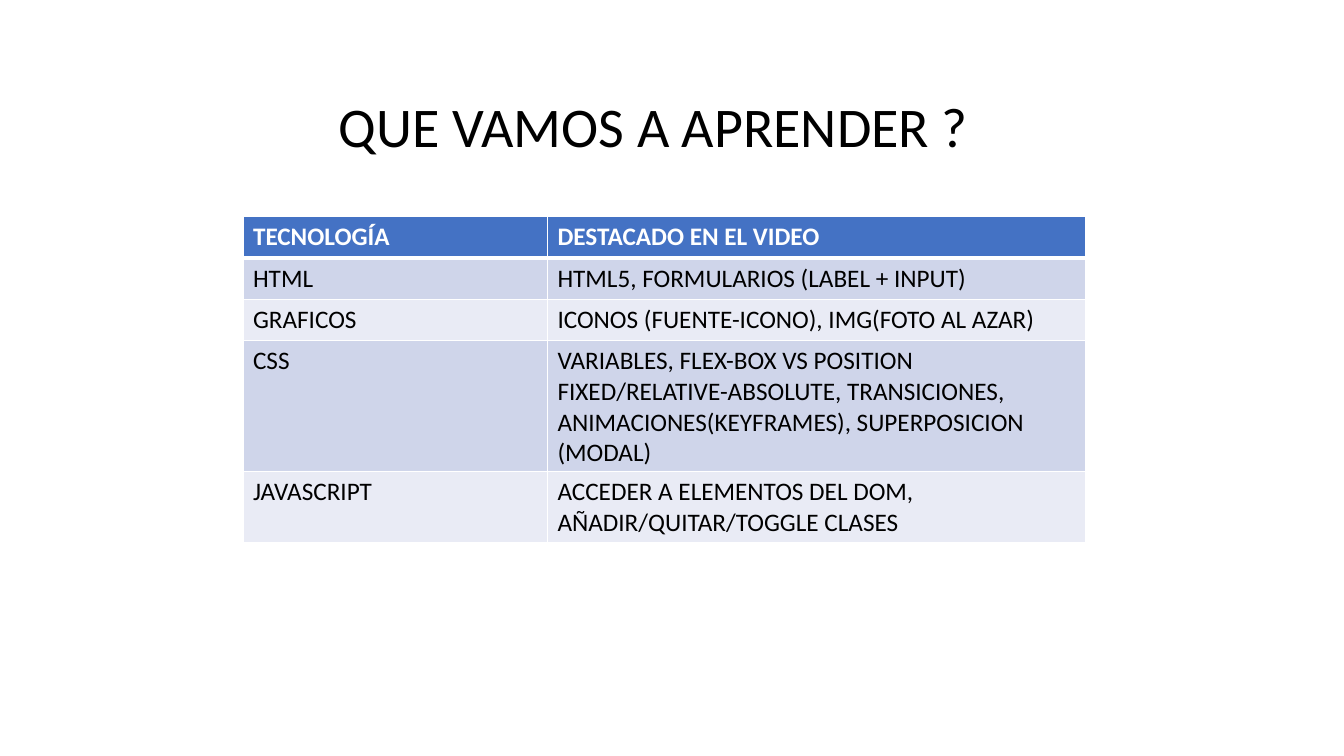
import lxml.etree
import pptx
import pptx.dml.color
import pptx.enum.text
import pptx.oxml.ns
import pptx.util

FONT = "Calibri"
COLORS = {
    "text": "000000",
    "header": "4472C4",
    "header_text": "FFFFFF",
    "border": "FFFFFF",
    "band_dark": "CFD5EA",
    "band_light": "E9EBF5",
}
WIDTH, HEIGHT = 13.33, 7.5
COLUMNS = [3.02, 5.34]
ROWS = [0.41, 0.41, 0.41, 1.3, 0.69]
TOPICS = [
    ("TECNOLOGÍA", "DESTACADO EN EL VIDEO"),
    ("HTML", "HTML5, FORMULARIOS (LABEL + INPUT)"),
    ("GRAFICOS", "ICONOS (FUENTE-ICONO), IMG(FOTO AL AZAR)"),
    ("CSS", "VARIABLES, FLEX-BOX VS POSITION FIXED/RELATIVE-ABSOLUTE, "
            "TRANSICIONES, ANIMACIONES(KEYFRAMES), SUPERPOSICION (MODAL)"),
    ("JAVASCRIPT", "ACCEDER A ELEMENTOS DEL DOM, AÑADIR/QUITAR/TOGGLE CLASES"),
]


def rgb(name):
    return pptx.dml.color.RGBColor.from_string(COLORS[name])


def add_run(tf, text, size, color, bold=False):
    r = tf.paragraphs[0].add_run()
    r.text = text
    r.font.name = FONT
    r.font.size = pptx.util.Pt(size)
    r.font.bold = bold
    r.font.color.rgb = rgb(color)


def add_title(s, text):
    inches = pptx.util.Inches
    box = s.shapes.add_textbox(inches(1.66), inches(0.86), inches(10.01), inches(0.77))
    tf = box.text_frame
    tf.word_wrap = True
    tf.auto_size = pptx.enum.text.MSO_AUTO_SIZE.SHAPE_TO_FIT_TEXT
    tf.margin_left = inches(1.7)
    add_run(tf, text, 40, "text")


def set_borders(cell, top, bottom):
    """Draw the four cell borders; top and bottom are widths in points."""
    qn = pptx.oxml.ns.qn
    tc_pr = cell._tc.get_or_add_tcPr()
    for side, width in (("L", 1), ("R", 1), ("T", top), ("B", bottom)):
        line = lxml.etree.SubElement(tc_pr, qn(f"a:ln{side}"), w=str(pptx.util.Pt(width)))
        fill = lxml.etree.SubElement(line, qn("a:solidFill"))
        lxml.etree.SubElement(fill, qn("a:srgbClr"), val=COLORS["border"])


def fill_cell(cell, text, row):
    is_header = row == 0
    set_borders(cell, top=3 if row == 1 else 1, bottom=3 if is_header else 1)
    band = "band_dark" if row % 2 else "band_light"
    cell.fill.solid()
    cell.fill.fore_color.rgb = rgb("header" if is_header else band)
    add_run(cell.text_frame, text, 18, "header_text" if is_header else "text", is_header)


def add_topics_table(s):
    inches = pptx.util.Inches
    table = s.shapes.add_table(len(ROWS), len(COLUMNS), inches(2.41), inches(2.15),
                               inches(sum(COLUMNS)), inches(sum(ROWS))).table
    for column, width in zip(table.columns, COLUMNS):
        column.width = inches(width)
    for row, (height, texts) in enumerate(zip(ROWS, TOPICS)):
        table.rows[row].height = inches(height)
        for column, text in enumerate(texts):
            fill_cell(table.cell(row, column), text, row)


def main():
    prs = pptx.Presentation()
    prs.slide_width = pptx.util.Inches(WIDTH)
    prs.slide_height = pptx.util.Inches(HEIGHT)
    s = prs.slides.add_slide(prs.slide_layouts[6])
    add_title(s, "QUE VAMOS A APRENDER ?")
    add_topics_table(s)
    prs.save("out.pptx")


if __name__ == "__main__":
    main()
